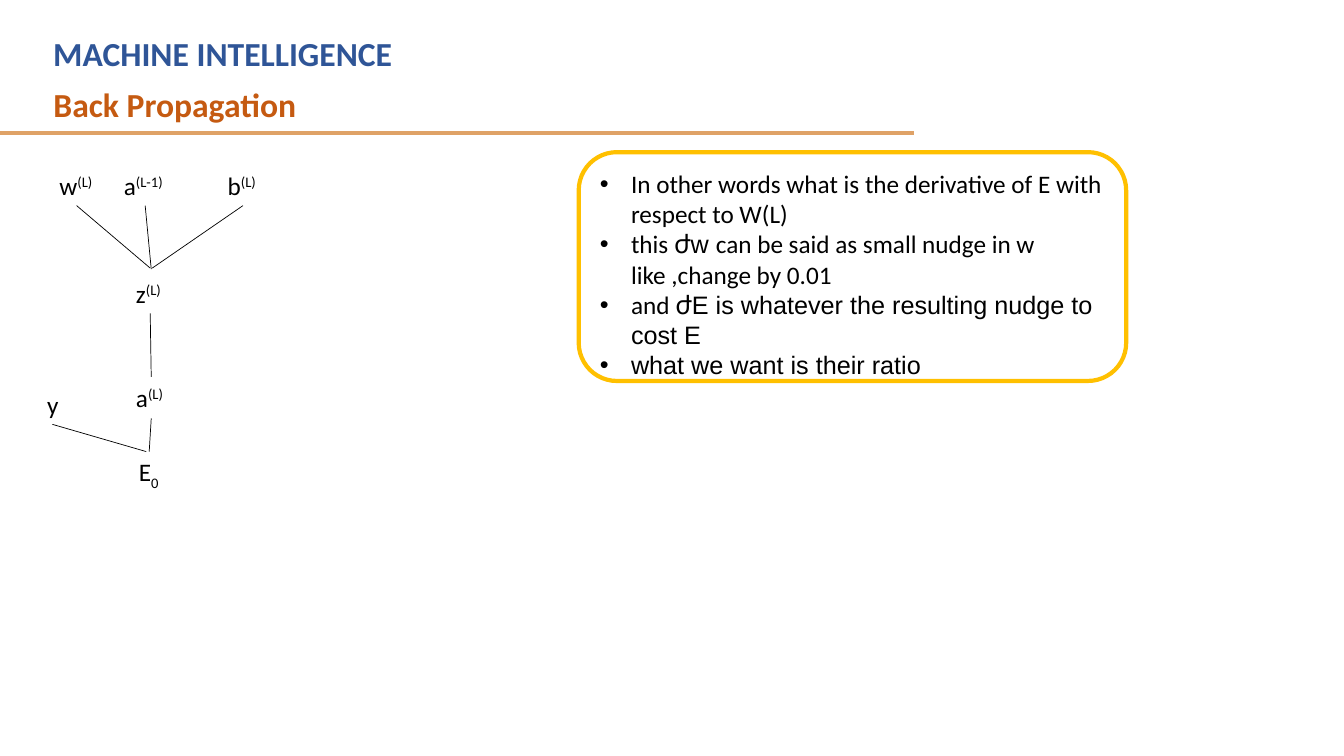
from pptx import Presentation
from pptx.dml.color import RGBColor
from pptx.enum.shapes import MSO_CONNECTOR as Connector, MSO_SHAPE as Shape
from pptx.enum.text import MSO_ANCHOR as Anchor, MSO_AUTO_SIZE as AutoSize, PP_ALIGN as Align
from pptx.oxml.ns import qn
from pptx.util import Inches, Pt

BLACK = RGBColor(0x00, 0x00, 0x00)
BLUE = RGBColor(0x2F, 0x55, 0x97)
RUST = RGBColor(0xC5, 0x5A, 0x11)
TAN = RGBColor(0xDF, 0xA2, 0x67)
GOLD = RGBColor(0xFF, 0xC0, 0x00)

COURSE = ("MACHINE INTELLIGENCE", (0.43, 0.28, 8.2, 0.5))
TOPIC = ("Back Propagation", (0.43, 0.78, 8.75, 0.5))
RULE = ((-0.01, 1.32), (9.07, 1.32))

NOTES_BOX = (5.74, 1.51, 5.43, 2.27)
NOTES = [
    [("In other words what is the derivative of E with respect to W(L)", "Calibri")],
    [("this ", "Calibri"), ("ժw ", "Arial"),
     ("can be said as small nudge in w like ,change by 0.01", "Calibri")],
    [("and ", "Calibri"), ("ժE is whatever the resulting nudge to cost E", "Arial")],
    [("what we want is their ratio", "Arial")],
]

NODE_HEIGHT = 0.4
NODES = [
    ("w", "(L)", 30, 0.49, 1.64, 0.55),
    ("a", "(L-1)", 30, 1.13, 1.64, 0.62),
    ("b", "(L)", 30, 2.16, 1.64, 0.5),
    ("z", "(L)", 30, 1.25, 2.71, 0.47),
    ("a", "(L)", 30, 1.25, 3.74, 0.49),
    ("y", "", 0, 0.37, 3.81, 0.31),
    ("E", "0", -25, 1.28, 4.48, 0.4),
]
EDGES = [
    ((0.76, 2.04), (1.49, 2.66)),
    ((1.44, 2.04), (1.5, 2.67)),
    ((2.41, 2.04), (1.51, 2.66)),
    ((1.49, 3.11), (1.5, 3.74)),
    ((1.5, 4.15), (1.48, 4.48)),
    ((0.52, 4.21), (1.45, 4.48)),
]

HEADING = {"size": Pt(24), "name": "Calibri", "bold": True}
BODY = {"size": Pt(18), "name": "Calibri"}


def inches(values):
    return [Inches(value) for value in values]


def add_run(paragraph, text, color, formats):
    run = paragraph.add_run()
    run.text = text
    for key, value in formats.items():
        setattr(run.font, key, value)
    run.font.color.rgb = color
    return run


def add_line(slide, start, end, color, width):
    line = slide.shapes.add_connector(Connector.STRAIGHT, *inches(start + end))
    line.line.color.rgb = color
    line.line.width = Pt(width)
    properties = line._element.spPr
    properties.append(properties.makeelement(qn("a:effectLst"), {}))


def add_heading(shape, text, box, color):
    for key, value in zip(("left", "top", "width", "height"), inches(box)):
        setattr(shape, key, value)
    frame = shape.text_frame
    for key, value in {"word_wrap": True, "vertical_anchor": Anchor.TOP,
                       "auto_size": AutoSize.SHAPE_TO_FIT_TEXT}.items():
        setattr(frame, key, value)
    paragraph = frame.paragraphs[0]
    paragraph.alignment = Align.LEFT
    add_run(paragraph, text, color, HEADING)


def add_node(slide, symbol, index, baseline, left, top, width):
    node = slide.shapes.add_textbox(*inches((left, top, width, NODE_HEIGHT)))
    frame = node.text_frame
    frame.word_wrap = False
    frame.auto_size = AutoSize.SHAPE_TO_FIT_TEXT
    paragraph = frame.paragraphs[0]
    add_run(paragraph, symbol, BLACK, BODY)
    if index:
        run = add_run(paragraph, index, BLACK, BODY)
        run.font._element.set("baseline", str(baseline * 1000))


def add_bullet(paragraph):
    properties = paragraph._p.get_or_add_pPr()
    properties.set("marL", str(Inches(0.31)))
    properties.set("indent", str(-Inches(0.31)))
    for tag, attribute, value in (("a:buFont", "typeface", "Arial"), ("a:buChar", "char", "•")):
        properties.append(properties.makeelement(qn(tag), {attribute: value}))


def add_notes(slide):
    panel = slide.shapes.add_shape(Shape.ROUNDED_RECTANGLE, *inches(NOTES_BOX))
    panel.shadow.inherit = False
    panel.fill.background()
    panel.line.color.rgb = GOLD
    panel.line.width = Pt(3)
    frame = panel.text_frame
    frame.word_wrap = True
    frame.vertical_anchor = Anchor.TOP
    for number, note in enumerate(NOTES):
        paragraph = frame.add_paragraph() if number else frame.paragraphs[0]
        paragraph.alignment = Align.LEFT
        add_bullet(paragraph)
        for text, font_name in note:
            add_run(paragraph, text, BLACK, {**BODY, "name": font_name})


def main():
    deck = Presentation()
    deck.slide_width, deck.slide_height = inches((13.33, 7.5))
    slide = deck.slides.add_slide(deck.slide_layouts[5])

    add_line(slide, *RULE, TAN, 3)
    add_heading(slide.shapes.add_textbox(*inches(COURSE[1])), *COURSE, BLUE)
    add_heading(slide.shapes.title, *TOPIC, RUST)
    add_notes(slide)
    for node in NODES:
        add_node(slide, *node)
    for start, end in EDGES:
        add_line(slide, start, end, BLACK, 0.5)

    deck.save("out.pptx")


if __name__ == "__main__":
    main()
